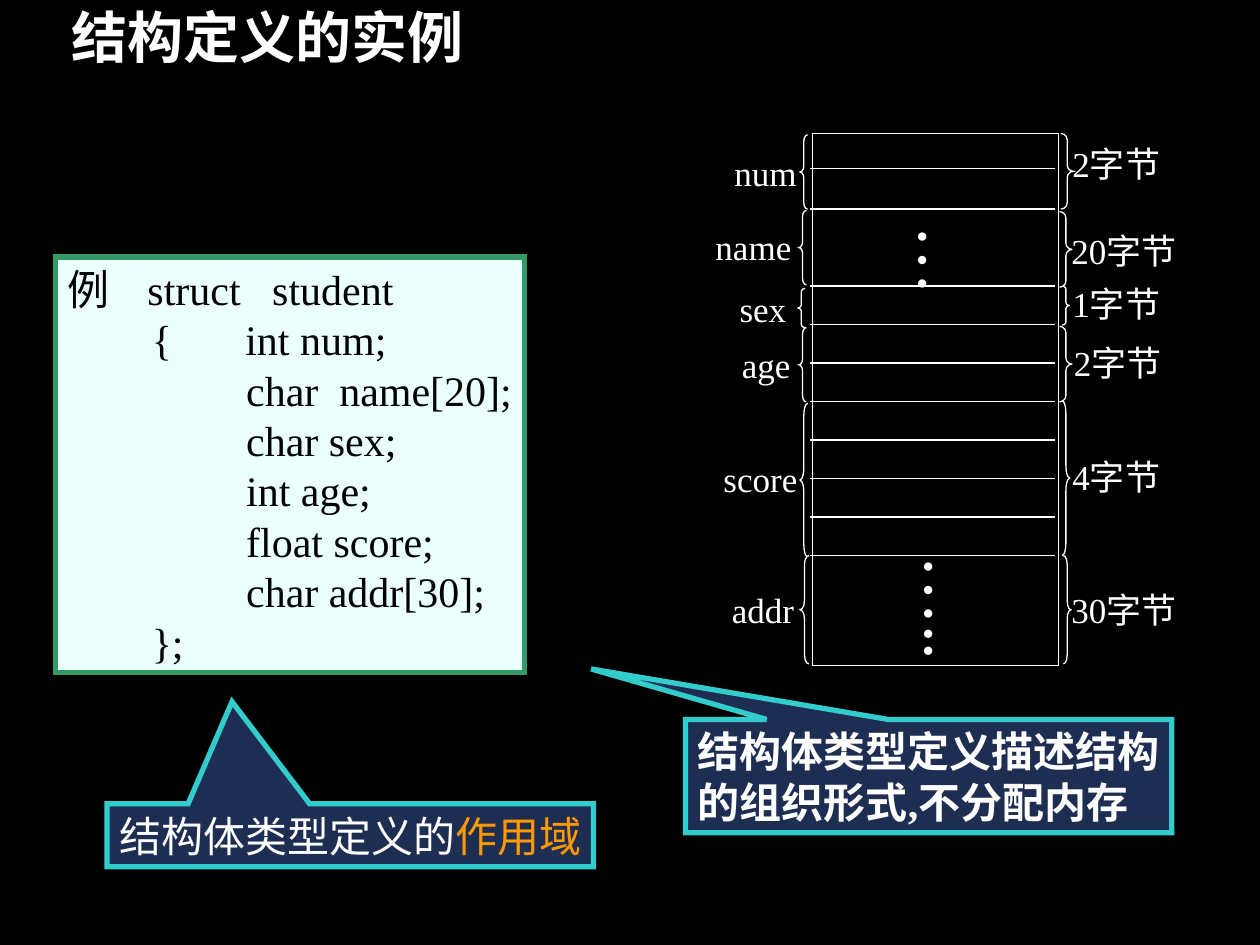
from pptx import Presentation
from pptx.dml.color import RGBColor
from pptx.enum.shapes import MSO_CONNECTOR, MSO_SHAPE
from pptx.enum.text import MSO_ANCHOR, MSO_AUTO_SIZE, PP_ALIGN
from pptx.oxml.ns import qn
from pptx.util import Inches, Pt
from lxml.etree import SubElement

FONT = "Times New Roman"
COLORS = {
    "background": "000000", "white": "FFFFFF", "black": "000000",
    "code_fill": "EBFFFF", "code_line": "339966",
    "callout_fill": "1E2E53", "callout_line": "33CCCC", "accent": "FF9900",
}
TITLE = "结构定义的实例"
CODE = [
    "例    struct   student",
    "        {       int num;",
    "                 char  name[20];",
    "                 char sex;",
    "                 int age;",
    "                 float score;",
    "                 char addr[30];",
    "        };",
]
LABELS = [
    ("num", 5.73, 1.15, 0.69), ("name", 5.58, 1.74, 0.8),
    ("sex", 5.77, 2.23, 0.57), ("age", 5.79, 2.67, 0.58),
    ("score", 5.64, 3.58, 0.79), ("addr", 5.71, 4.62, 0.69),
    ("2字节", 8.38, 1.08, 0.96), ("20字节", 8.37, 1.77, 1.1),
    ("1字节", 8.38, 2.19, 0.96), ("2字节", 8.39, 2.66, 0.96),
    ("4字节", 8.38, 3.56, 0.96), ("30字节", 8.37, 4.62, 1.1),
]
LEFT_BRACES = [
    (6.35, 1.07, 0.06, 0.59), (6.34, 1.67, 0.06, 0.59),
    (6.33, 2.29, 0.06, 0.31), (6.34, 2.6, 0.06, 0.59),
    (6.35, 3.2, 0.06, 1.22), (6.35, 4.41, 0.07, 0.86),
]
RIGHT_BRACES = [
    (8.42, 1.06, 0.1, 0.6), (8.41, 1.68, 0.1, 0.6),
    (8.43, 2.27, 0.06, 0.31), (8.41, 2.59, 0.1, 0.6),
    (8.43, 3.18, 0.06, 1.23), (8.44, 4.41, 0.06, 0.86),
]
DOTS = [("…", (7.09, 1.69, 0.86, 0.51), True), ("…..", (7.14, 4.31, 0.86, 0.94), False)]
CALLOUTS = [
    ((5.44, 5.71, 3.86, 0.9), (-0.694, -0.945), True,
     [[("结构体类型定义描述结构", "white")], [("的组织形式,不分配内存", "white")]]),
    ((0.85, 6.38, 3.86, 0.5), (-0.243, -2.122), False,
     [[("结构体类型定义的", "white"), ("作用域", "accent")]]),
]
MEMORY = (6.45, 1.06, 1.95, 4.22)
CELL_LEFT, CELL_RIGHT = 6.43, 8.37
CELL_LINES = [1.34, 1.66] + [2.27 + 2.14 / 7 * step for step in range(8)]


def color(name):
    return RGBColor.from_string(COLORS[name])


def write(shape, lines, size, align=PP_ALIGN.LEFT, bold=False, wrap=False,
          anchor=MSO_ANCHOR.MIDDLE, margins=(0.1, 0.02)):
    frame = shape.text_frame
    frame.word_wrap = wrap
    frame.auto_size = MSO_AUTO_SIZE.SHAPE_TO_FIT_TEXT
    frame.vertical_anchor = anchor
    frame.margin_left, frame.margin_right = map(Inches, margins)
    for index, line in enumerate(lines):
        paragraph = frame.add_paragraph() if index else frame.paragraphs[0]
        paragraph.alignment = align
        for text, color_name in line:
            run = paragraph.add_run()
            run.text = text
            run.font.name = FONT
            run.font.size = Pt(size)
            run.font.bold = bold
            run.font.color.rgb = color(color_name)


def add_box(slide, kind, box, fill, line, width):
    shape = slide.shapes.add_shape(kind, *map(Inches, box))
    shape.shadow.inherit = False
    if fill:
        shape.fill.solid()
        shape.fill.fore_color.rgb = color(fill)
    else:
        shape.fill.background()
    shape.line.color.rgb = color(line)
    shape.line.width = Pt(width)
    SubElement(shape.element.spPr.find(qn("a:ln")), qn("a:miter"), lim="800000")
    return shape


def add_label(slide, text, box, size, wrap=False):
    label = slide.shapes.add_textbox(*map(Inches, box))
    write(label, [[(text, "white")]], size, PP_ALIGN.CENTER, wrap=wrap,
          margins=(0.05, 0.05))
    return label


def add_memory(slide):
    add_box(slide, MSO_SHAPE.RECTANGLE, MEMORY, None, "white", 0.75)
    for top in CELL_LINES:
        line = slide.shapes.add_connector(
            MSO_CONNECTOR.STRAIGHT, Inches(CELL_LEFT), Inches(top),
            Inches(CELL_RIGHT), Inches(top))
        line.line.color.rgb = color("white")
        line.line.width = Pt(0.75)
        SubElement(line.element.spPr, qn("a:effectLst"))
    for kind, braces in ((MSO_SHAPE.LEFT_BRACE, LEFT_BRACES),
                         (MSO_SHAPE.RIGHT_BRACE, RIGHT_BRACES)):
        for box in braces:
            brace = add_box(slide, kind, box, None, "white", 0.75)
            brace.adjustments[0] = box[3] / box[2] / 12
    for text, left, top, width in LABELS:
        add_label(slide, text, (left, top, width, 0.44), 20)
    for text, box, wrap in DOTS:
        dots = add_label(slide, text, box, 40, wrap)
        frame = dots.text_frame
        frame.margin_top = frame.margin_bottom = Inches(0.1)
        dots.element.txBody.bodyPr.set("vert", "eaVert")


def main():
    presentation = Presentation()
    presentation.slide_width, presentation.slide_height = Inches(10), Inches(7.5)
    slide = presentation.slides.add_slide(presentation.slide_layouts[5])
    slide.background.fill.solid()
    slide.background.fill.fore_color.rgb = color("background")

    title = slide.shapes.title
    title.left, title.top = Inches(0.47), Inches(-0.03)
    title.width, title.height = Inches(6.5), Inches(0.64)
    write(title, [[(TITLE, "white")]], 32, bold=True, wrap=True, anchor=MSO_ANCHOR.TOP)

    code = add_box(slide, MSO_SHAPE.RECTANGLE, (0.44, 2.04, 3.72, 3.3),
                   "code_fill", "code_line", 3)
    write(code, [[(line, "black")] for line in CODE], 24)

    add_memory(slide)

    for box, tip, bold, lines in CALLOUTS:
        callout = add_box(slide, MSO_SHAPE.RECTANGULAR_CALLOUT, box,
                          "callout_fill", "callout_line", 3)
        callout.adjustments[0], callout.adjustments[1] = tip
        write(callout, lines, 24, bold=bold)

    presentation.save("out.pptx")


if __name__ == "__main__":
    main()
